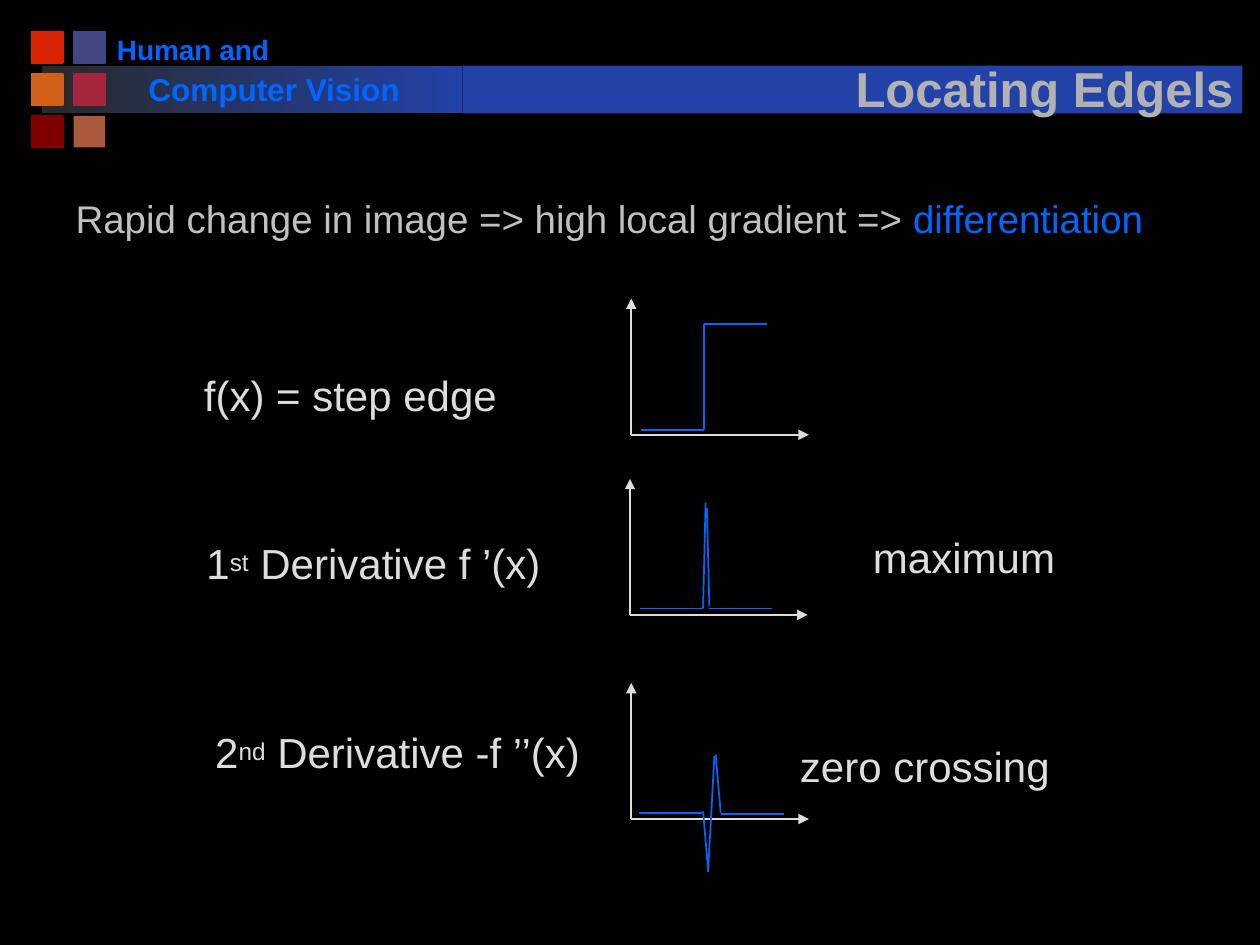
from lxml.etree import SubElement
from pptx import Presentation
from pptx.dml.color import RGBColor
from pptx.enum.shapes import MSO_CONNECTOR, MSO_SHAPE
from pptx.enum.text import MSO_ANCHOR, MSO_AUTO_SIZE as FIT, PP_ALIGN
from pptx.oxml import parse_xml
from pptx.oxml.ns import nsdecls, qn
from pptx.util import Inches, Pt

BLACK = RGBColor(0x00, 0x00, 0x00)
CHARCOAL = RGBColor(0x29, 0x29, 0x29)
NAVY = RGBColor(0x22, 0x42, 0xA8)
BLUE = RGBColor(0x00, 0x66, 0xFF)
TITLE_GRAY = RGBColor(0xB2, 0xB2, 0xB2)
BODY_GRAY = RGBColor(0xC0, 0xC0, 0xC0)
LIGHT = RGBColor(0xDD, 0xDD, 0xDD)

TITLE = "Locating Edgels"
BODY = [("Rapid change in image => high local gradient => ", BODY_GRAY),
        ("differentiation", BLUE)]
COURSE = [("Human and", (0.83, 0.21, 1.42, 0.37), 16),
          ("Computer Vision", (1.08, 0.51, 2.53, 0.4), 18)]

# Rows of the square mosaic, left to right
MOSAIC = [("D82204", "424680"), ("D2601A", "A5253D"), ("800000", "AA583E")]
MOSAIC_START, MOSAIC_STEP, SQUARE = 0.25, 0.335, 0.25

# Each label: runs of (text, superscript?) and its box
# Each plot: axis origin and the curve as (x1, y1, x2, y2) segments
ROWS = [
    {"origin": (5.01, 3.45),
     "curve": [(5.09, 3.41, 5.59, 3.41), (5.59, 2.57, 6.09, 2.57),
               (5.59, 2.57, 5.59, 3.41)],
     "labels": [([("f(x) = step edge", False)], (1.52, 2.88, 2.53, 0.5))]},
    {"origin": (5.0, 4.88),
     "curve": [(5.08, 4.83, 5.58, 4.83), (5.63, 4.83, 6.13, 4.83),
               (5.6, 3.99, 5.58, 4.83), (5.61, 4.03, 5.63, 4.81)],
     "labels": [([("1", False), ("st", True), (" Derivative f ’(x)", False)],
                 (1.54, 4.22, 2.88, 0.5)),
                ([("maximum", False)], (6.83, 4.17, 1.65, 0.5))]},
    {"origin": (5.01, 6.5),
     "curve": [(5.07, 6.45, 5.57, 6.45), (5.72, 6.46, 6.22, 6.46),
               (5.67, 6.0, 5.62, 6.92), (5.58, 6.44, 5.62, 6.9),
               (5.68, 5.99, 5.72, 6.45)],
     "labels": [([("2", False), ("nd", True), (" Derivative -f ’’(x)", False)],
                 (1.61, 5.72, 3.14, 0.5)),
                ([("zero crossing", False)], (6.25, 5.83, 2.19, 0.5))]},
]
AXIS_WIDTH, AXIS_HEIGHT = 1.41, 1.08


def set_all(target, **values):
    for name, value in values.items():
        setattr(target, name, value)


def add_span(para, text, size, color, bold=False):
    span = para.add_run()
    span.text = text
    set_all(span.font, name="Arial", size=Pt(size), bold=bold)
    span.font.color.rgb = color
    return span


def add_label(shapes, runs, place, size, color, bold=False, wrap=False):
    box = shapes.add_textbox(*map(Inches, place))
    set_all(box.text_frame, word_wrap=wrap, auto_size=FIT.SHAPE_TO_FIT_TEXT)
    for text, raised in runs:
        span = add_span(box.text_frame.paragraphs[0], text, size, color, bold)
        if raised:
            span.font._element.set("baseline", "20000")


def add_rectangle(shapes, place, color):
    box = shapes.add_shape(MSO_SHAPE.RECTANGLE, *map(Inches, place))
    box.shadow.inherit = False
    box.line.fill.background()
    box.fill.solid()
    box.fill.fore_color.rgb = color
    return box


def add_line(shapes, ends, color, arrow=False):
    line = shapes.add_connector(MSO_CONNECTOR.STRAIGHT, *map(Inches, ends))
    line.line.width = Pt(1)
    line.line.color.rgb = color
    if arrow:
        SubElement(line.line._get_or_add_ln(), qn("a:tailEnd"), type="triangle")
    SubElement(line._element.spPr, qn("a:effectLst"))


def add_header(shapes):
    fade = add_rectangle(shapes, (0.33, 0.52, 3.34, 0.38), NAVY)
    fade.fill.gradient()
    fade.fill.gradient_angle = 0
    for stop, color in zip(fade.fill.gradient_stops, (CHARCOAL, NAVY)):
        stop.color.rgb = color
    for row, colors in enumerate(MOSAIC):
        for column, code in enumerate(colors):
            color = RGBColor.from_string(code)
            left, top = (MOSAIC_START + MOSAIC_STEP * n for n in (column, row))
            square = add_rectangle(shapes, (left, top, SQUARE, SQUARE), color)
            if (row, column) != (2, 1):
                square.line.width = Pt(1)
                square.line.color.rgb = color
    for text, place, size in COURSE:
        add_label(shapes, [(text, False)], place, size, BLUE, bold=True,
                  wrap=size == 18)
    add_rectangle(shapes, (3.67, 0.52, 6.19, 0.38), NAVY)


def place_holder(holder, place, anchor):
    """Move a placeholder in front of the header and return its paragraph."""
    holder._element.getparent().append(holder._element)
    names = ("left", "top", "width", "height")
    set_all(holder, **dict(zip(names, map(Inches, place))))
    set_all(holder.text_frame, word_wrap=True, auto_size=FIT.NONE,
            vertical_anchor=anchor)
    return holder.text_frame.paragraphs[0]


def add_title(holder):
    para = place_holder(holder, (6.66, 0.31, 3.26, 0.67), MSO_ANCHOR.BOTTOM)
    para.alignment = PP_ALIGN.CENTER
    span = add_span(para, TITLE, 28, TITLE_GRAY, bold=True)
    shadow = parse_xml(
        f'<a:effectLst {nsdecls("a")}><a:outerShdw dist="35921" dir="2700000">'
        f'<a:srgbClr val="{BLACK}"/></a:outerShdw></a:effectLst>')
    span.font._element.find(qn("a:solidFill")).addnext(shadow)


def add_body(holder):
    para = place_holder(holder, (0.5, 1.5, 9.08, 0.5), MSO_ANCHOR.TOP)
    properties = para._p.get_or_add_pPr()
    properties.set("marL", str(Inches(0.38)))
    properties.set("indent", str(-Inches(0.38)))
    SubElement(properties, qn("a:buNone"))
    para.space_before = Pt(0)
    for text, color in BODY:
        add_span(para, text, 22, color)


def add_row(shapes, row):
    x, y = row["origin"]
    for end in ((x, y - AXIS_HEIGHT), (x + AXIS_WIDTH, y)):
        add_line(shapes, (x, y, *end), LIGHT, arrow=True)
    for segment in row["curve"]:
        add_line(shapes, segment, BLUE)
    for runs, place in row["labels"]:
        add_label(shapes, runs, place, 24, LIGHT)


def main():
    deck = Presentation()
    set_all(deck, slide_width=Inches(10), slide_height=Inches(7.5))
    slide = deck.slides.add_slide(deck.slide_layouts[1])
    slide.background.fill.solid()
    slide.background.fill.fore_color.rgb = BLACK
    add_header(slide.shapes)
    add_title(slide.shapes.title)
    add_body(slide.placeholders[1])
    for row in ROWS:
        add_row(slide.shapes.add_group_shape().shapes, row)
    deck.save("out.pptx")


if __name__ == "__main__":
    main()
